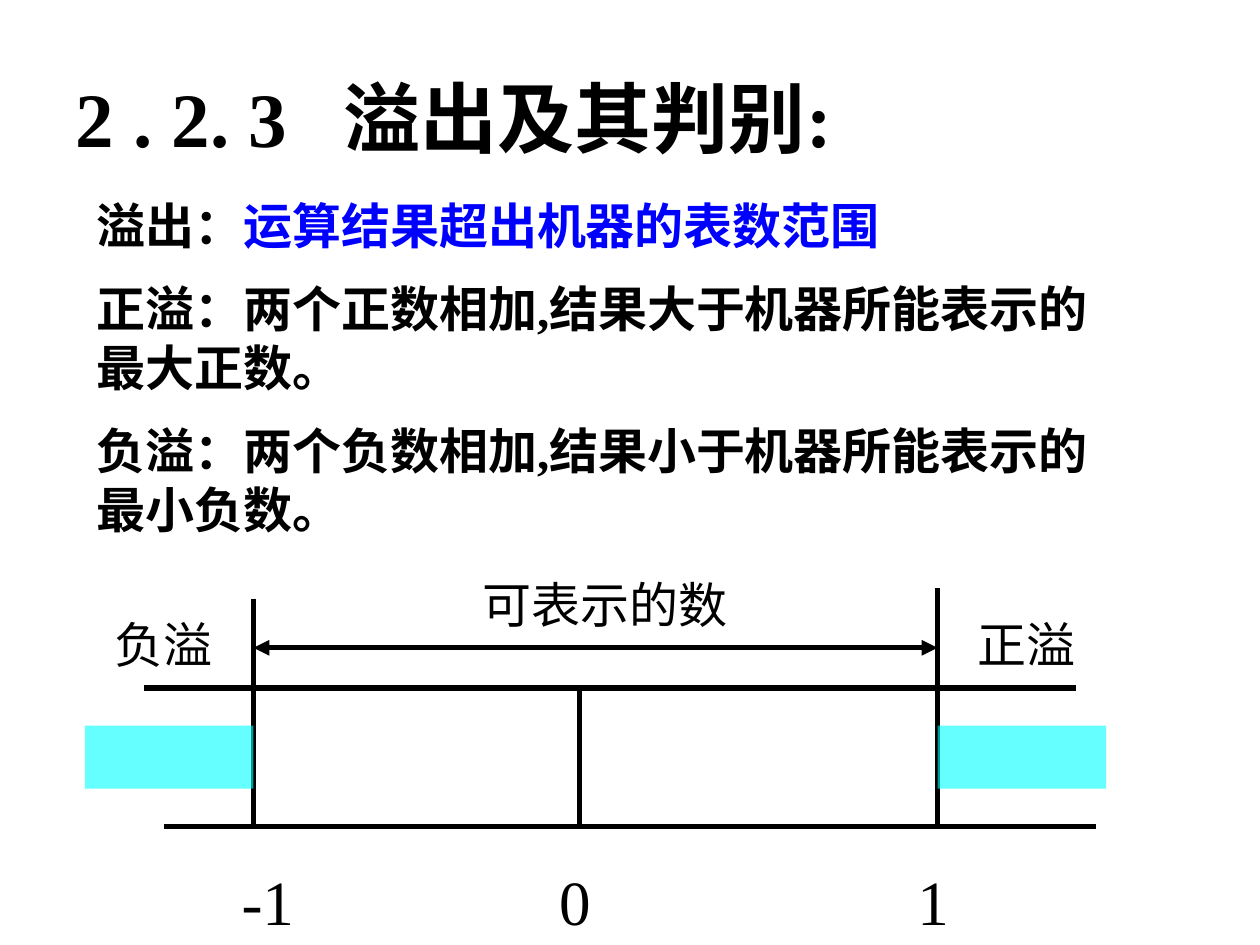
from dataclasses import dataclass

from lxml import etree
from pptx import Presentation
from pptx.dml.color import RGBColor
from pptx.enum.shapes import MSO_CONNECTOR, MSO_SHAPE
from pptx.enum.text import MSO_ANCHOR, PP_ALIGN
from pptx.oxml.ns import qn
from pptx.util import Cm, Pt

STRAIGHT = MSO_CONNECTOR.STRAIGHT
RECTANGLE = MSO_SHAPE.RECTANGLE
MIDDLE = MSO_ANCHOR.MIDDLE
TOP = MSO_ANCHOR.TOP
CENTER = PP_ALIGN.CENTER
LEFT = PP_ALIGN.LEFT


@dataclass(frozen=True)
class Theme:
    black: RGBColor = RGBColor(0, 0, 0)
    blue: RGBColor = RGBColor(0, 0, 255)
    cyan: RGBColor = RGBColor(0, 255, 255)
    serif: str = "Times New Roman"
    sans: str = "Arial"
    chinese: str = "Noto Sans CJK SC"
    title: int = 44
    body: int = 28
    number: int = 36
    line: int = 3
    overflow_opacity: int = 60


T = Theme()

TITLE = [
    ("2 . 2. 3\t", T.serif, T.black),
    ("溢出及其判别", T.chinese, T.black),
    (":", T.serif, T.black),
]
DEFINITIONS = [
    [("溢出：", T.serif, T.black), ("运算结果超出机器的表数范围", T.sans, T.blue)],
    [("正溢：两个正数相加,结果大于机器所能表示的最大正数。", T.serif, T.black)],
    [("负溢：两个负数相加,结果小于机器所能表示的最小负数。", T.serif, T.black)],
]
TITLE_TAB = 5.41

X_MIN, X_ZERO, X_MAX = 5.11, 11.68, 18.9
Y_TOP, Y_BOTTOM, Y_RANGE = 13.87, 16.66, 13.06
AXIS_LINES = [
    (X_MIN, 12.07, X_MIN, Y_BOTTOM),
    (2.9, Y_TOP, 21.69, Y_TOP),
    (3.3, Y_BOTTOM, 22.1, Y_BOTTOM),
    (X_MAX, 11.86, X_MAX, Y_BOTTOM),
    (X_ZERO, Y_TOP, X_ZERO, Y_BOTTOM),
]
NUMBERS = [("-1", 4.5), ("0", 10.69), ("1", 17.91)]
REGIONS = [
    ("负溢", 1.7, 12.27, 3.2),
    ("可表示的数", 7.7, 11.46, 8.99),
    ("正溢", 19.1, 12.27, 3.2),
]
BAND_W, BAND_H, BAND_Y = 3.4, 1.27, 14.63


def add_text(slide, box, paragraphs, size, bold=False, align=LEFT, anchor=TOP, tab=None):
    tf = slide.shapes.add_textbox(*map(Cm, box)).text_frame
    tf.word_wrap = True
    tf.vertical_anchor = anchor
    for i, runs in enumerate(paragraphs):
        p = tf.add_paragraph() if i else tf.paragraphs[0]
        p.alignment = align
        if i:
            p.space_before = Pt(size / 2)
        if tab:
            tabs = etree.SubElement(p._p.get_or_add_pPr(), qn("a:tabLst"))
            etree.SubElement(tabs, qn("a:tab"), pos=str(Cm(tab)), algn="l")
        p.font.size = Pt(size)
        p.font.bold = bold
        for text, font, color in runs:
            r = p.add_run()
            r.text = text
            r.font.name = font
            r.font.color.rgb = color
            if font == T.chinese:
                etree.SubElement(r._r.get_or_add_rPr(), qn("a:ea"), typeface=font)


def add_label(slide, box, text, size):
    add_text(slide, box, [[(text, T.serif, T.black)]], size, align=CENTER)


def add_line(slide, ends, arrows=False):
    line = slide.shapes.add_connector(STRAIGHT, *map(Cm, ends))
    line.line.color.rgb = T.black
    line.line.width = Pt(T.line)
    if arrows:
        for end in ("a:headEnd", "a:tailEnd"):
            etree.SubElement(line.line._get_or_add_ln(), qn(end), type="triangle")
    etree.SubElement(line._element.spPr, qn("a:effectLst"))


def add_overflow_band(slide, left):
    sp = slide.shapes.add_shape(RECTANGLE, *map(Cm, (left, BAND_Y, BAND_W, BAND_H)))
    sp.shadow.inherit = False
    sp.fill.solid()
    sp.fill.fore_color.rgb = T.cyan
    color = sp._element.spPr.find(qn("a:solidFill"))[0]
    etree.SubElement(color, qn("a:alpha"), val=str(T.overflow_opacity * 1000))
    sp.line.fill.background()


def main():
    prs = Presentation()
    prs.slide_width, prs.slide_height = Cm(25.4), Cm(19.05)
    slide = prs.slides.add_slide(prs.slide_layouts[6])

    add_text(slide, (1.7, 3.81, 21.39, 7.37), DEFINITIONS, T.body, bold=True)
    for ends in AXIS_LINES:
        add_line(slide, ends)
    add_line(slide, (X_MIN, Y_RANGE, X_MAX, Y_RANGE), arrows=True)
    for text, left in NUMBERS:
        add_label(slide, (left, 17.27, 1.8, 1.78), text, T.number)
    for text, left, top, width in REGIONS:
        add_label(slide, (left, top, width, 1.45), text, T.body)
    for left in (X_MAX, X_MIN - BAND_W):
        add_overflow_band(slide, left)
    add_text(slide, (1.27, 0.76, 22.86, 3.18), [TITLE], T.title,
             bold=True, anchor=MIDDLE, tab=TITLE_TAB)

    prs.save("out.pptx")


if __name__ == "__main__":
    main()
